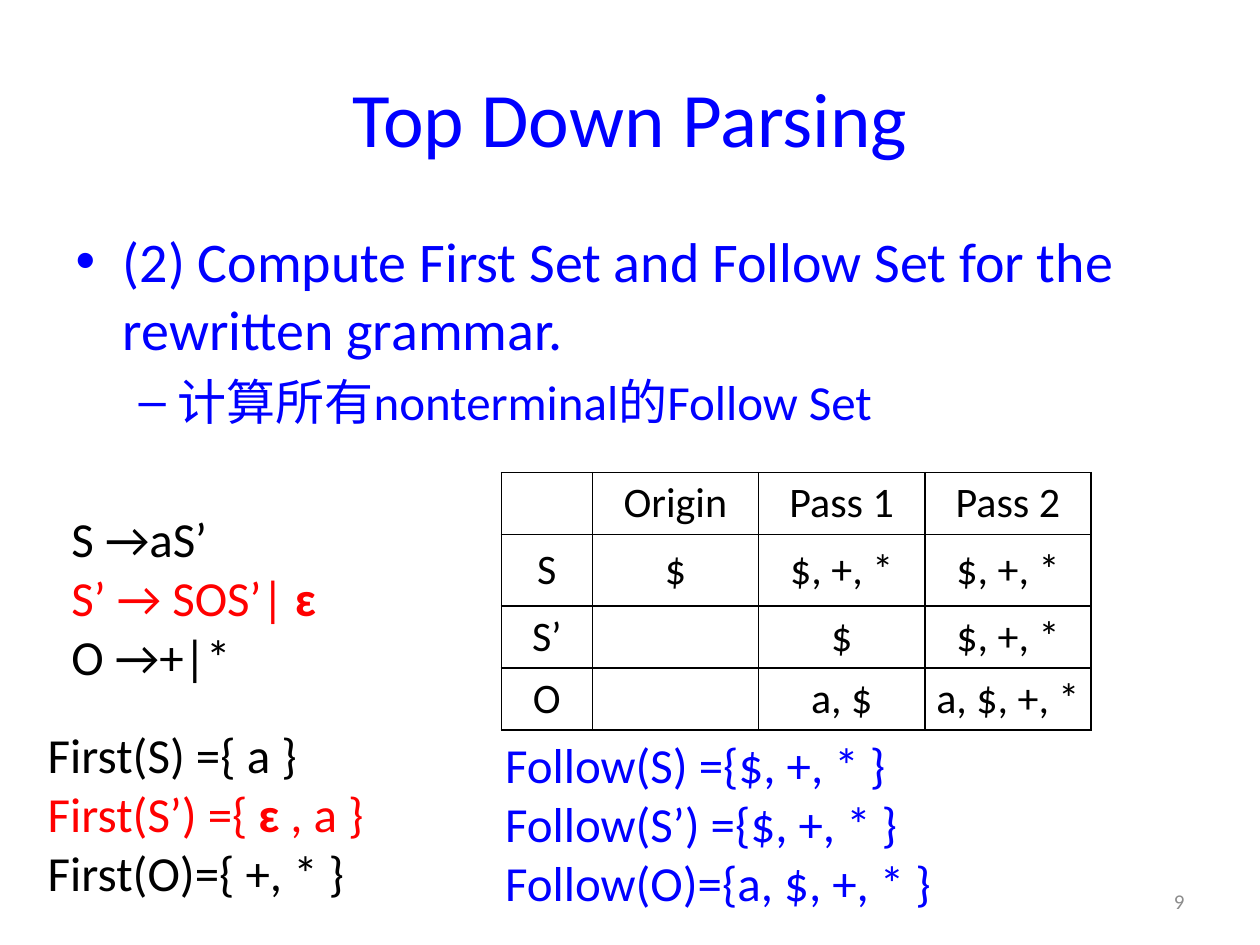
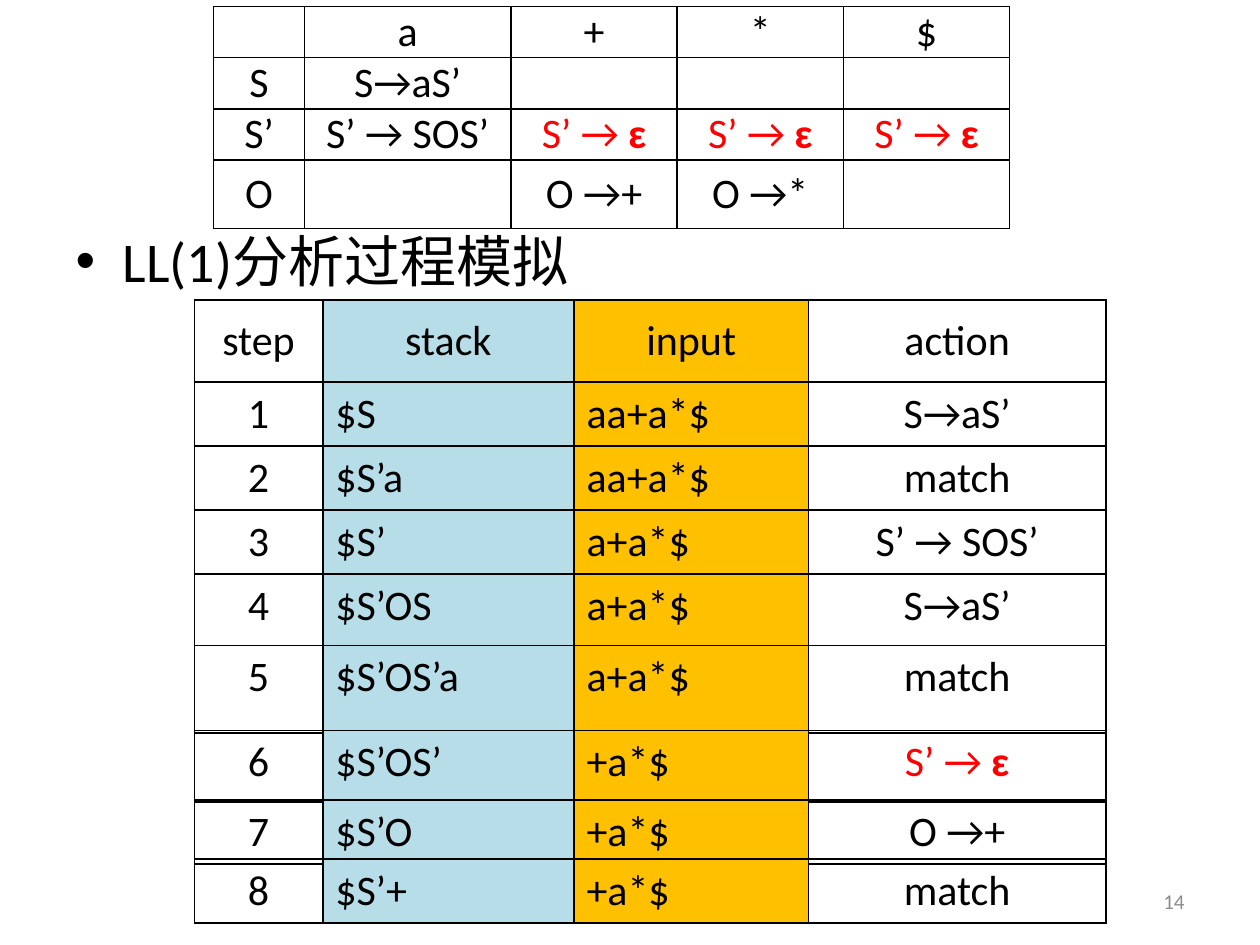
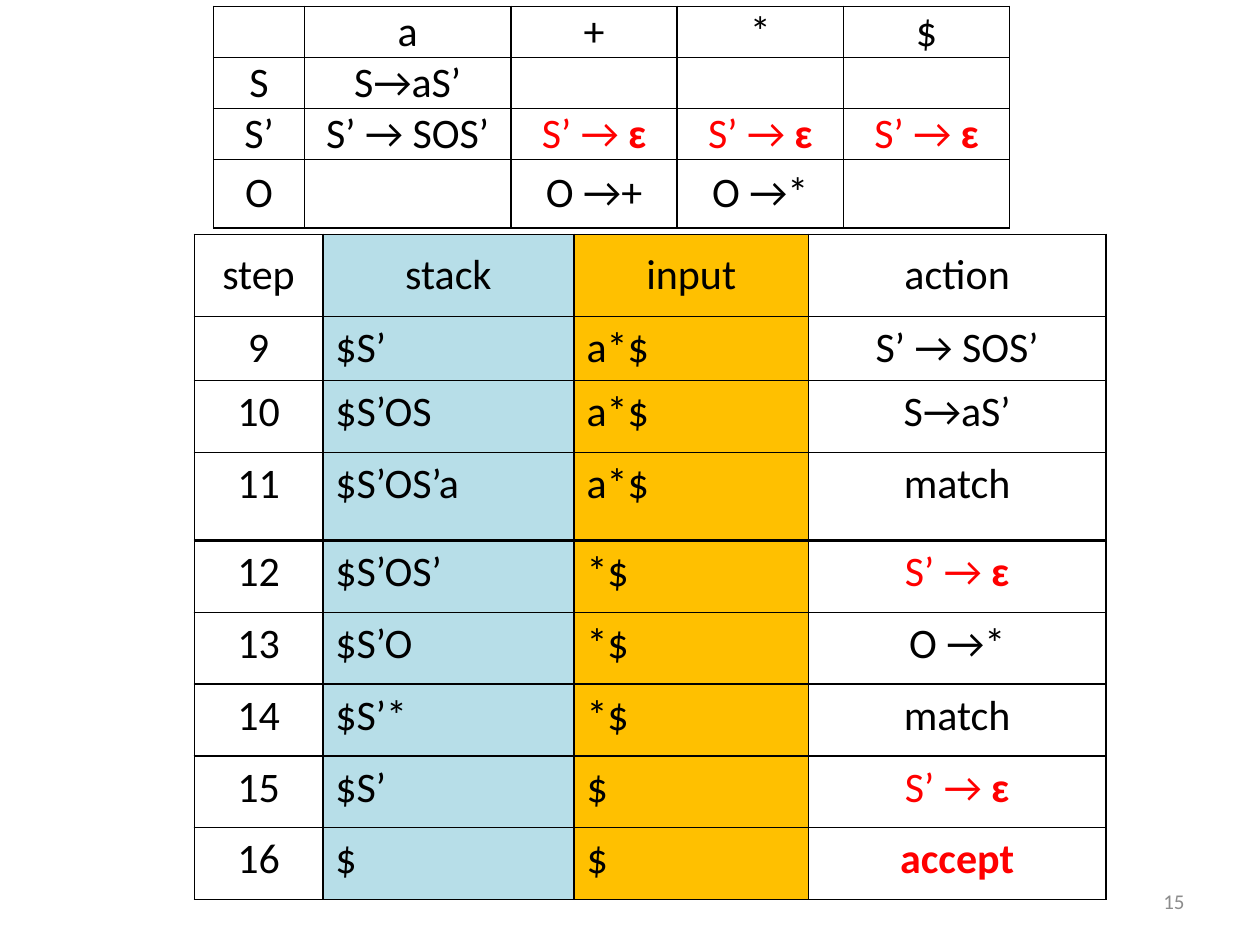
"""Build three slides on LL(1) parsing: the Follow sets and a step-by-step trace."""
from dataclasses import dataclass

import pptx
import pptx.dml.color
import pptx.enum.text
import pptx.oxml
import pptx.oxml.ns
import pptx.util

Pt = pptx.util.Pt
ALIGN = pptx.enum.text.PP_ALIGN
ANCHOR = pptx.enum.text.MSO_ANCHOR


@dataclass(frozen=True)
class Theme:
    """Colours, font and type sizes shared by the slides."""
    font: str = "Calibri"
    black: str = "000000"
    white: str = "FFFFFF"
    blue: str = "0000FF"
    red: str = "FF0000"
    grey: str = "8C8C8C"
    stack: str = "B7DEE8"
    input: str = "FFC000"
    title: int = 44
    body: int = 32
    sub: int = 28
    cell: int = 24
    number: int = 12


THEME = Theme()
EPSILON = "ɛ"

FOLLOW_TITLE = "Top Down Parsing"
FOLLOW_POINTS = [
    ("(2) Compute First Set and Follow Set for the rewritten grammar.", 0),
    ("计算所有nonterminal的Follow Set", 1),
]
RULES = ["S →aS’", "S’ → SOS’| ɛ", "O →+|*"]
FIRST_SETS = ["First(S) ={ a }", "First(S’) ={ ɛ , a }", "First(O)={ +, * }"]
FOLLOW_SETS = ["Follow(S) ={$, +, * }", "Follow(S’) ={$, +, * }", "Follow(O)={a, $, +, * }"]
FOLLOW_PASSES = [
    ("", "Origin", "Pass 1", "Pass 2"),
    ("S", "$", "$, +, *", "$, +, *"),
    ("S’", "", "$", "$, +, *"),
    ("O", "", "a, $", "a, $, +, *"),
]
PARSE_TABLE = [
    ("", "a", "+", "*", "$"),
    ("S", "S→aS’", "", "", ""),
    ("S’", "S’ → SOS’", "S’ → ɛ", "S’ → ɛ", "S’ → ɛ"),
    ("O", "", "O →+", "O →*", ""),
]
TRACE_POINTS = [("LL(1)分析过程模拟", 0)]
TRACE_HEADER = ("step", "stack", "input", "action")
TRACE_START = [
    ("1", "$S", "aa+a*$", "S→aS’"),
    ("2", "$S’a", "aa+a*$", "match"),
    ("3", "$S’", "a+a*$", "S’ → SOS’"),
    ("4", "$S’OS", "a+a*$", "S→aS’"),
    ("5", "$S’OS’a", "a+a*$", "match"),
    ("6", "$S’OS’", "+a*$", "S’ → ɛ"),
    ("7", "$S’O", "+a*$", "O →+"),
    ("8", "$S’+", "+a*$", "match"),
]
TRACE_END = [
    ("9", "$S’", "a*$", "S’ → SOS’"),
    ("10", "$S’OS", "a*$", "S→aS’"),
    ("11", "$S’OS’a", "a*$", "match"),
    ("12", "$S’OS’", "*$", "S’ → ɛ"),
    ("13", "$S’O", "*$", "O →*"),
    ("14", "$S’*", "*$", "match"),
    ("15", "$S’", "$", "S’ → ɛ"),
    ("16", "$", "$", "accept"),
]

PARSE_COLS, PARSE_ROWS = [52, 118, 95, 95, 95], [29.2, 29.2, 29.2, 39]
PASS_COLS, PASS_ROWS = [52, 95, 95, 95], [35.4, 41, 35.4, 35.4]
TRACE_COLS = [73.5, 143.5, 134, 170]
TRACE_FILLS = [None, THEME.stack, THEME.input, None]
TRACE_LEFT = 111
SHORT_ROW, TALL_ROW = 36.5, 41


def rgb(color):
    return pptx.dml.color.RGBColor.from_string(color)


def style(run, size, color, bold=False):
    run.font.name = THEME.font
    run.font.size = Pt(size)
    run.font.color.rgb = rgb(color)
    if bold:
        run.font.bold = True


def write(paragraph, text, size, color=THEME.black):
    """Write one line; lines with epsilon and the accept action are red."""
    if EPSILON in text:
        before, epsilon, after = text.partition(EPSILON)
        for part in filter(None, (before, epsilon, after)):
            run = paragraph.add_run()
            run.text = part
            style(run, size, THEME.red, part == EPSILON)
    else:
        accepted = text == "accept"
        paragraph.text = text
        for run in paragraph.runs:
            style(run, size, THEME.red if accepted else color, accepted)


def place(shape, left, top, width, height):
    shape.left, shape.top, shape.width, shape.height = map(Pt, (left, top, width, height))


def add_points(slide, points, color):
    body = slide.placeholders[1]
    place(body, 36, 126, 648, 356.4)
    for index, (text, level) in enumerate(points):
        frame = body.text_frame
        point = frame.paragraphs[0] if index == 0 else frame.add_paragraph()
        point.level = level
        write(point, text, THEME.sub if level else THEME.body, color)


def add_lines(slide, lines, box, color=THEME.black, wrap=False):
    frame = slide.shapes.add_textbox(*map(Pt, box)).text_frame
    frame.word_wrap = wrap
    frame.auto_size = pptx.enum.text.MSO_AUTO_SIZE.SHAPE_TO_FIT_TEXT
    for index, line in enumerate(lines):
        paragraph = frame.paragraphs[0] if index == 0 else frame.add_paragraph()
        write(paragraph, line, THEME.sub, color)


def add_number(slide, number):
    frame = slide.shapes.add_textbox(Pt(516), Pt(500.5), Pt(168), Pt(28.8)).text_frame
    frame.word_wrap = True
    frame.vertical_anchor = ANCHOR.MIDDLE
    write(frame.paragraphs[0], number, THEME.number, THEME.grey)
    frame.paragraphs[0].alignment = ALIGN.RIGHT


def add_borders(cell):
    properties = cell._tc.get_or_add_tcPr()
    for side in ("lnL", "lnR", "lnT", "lnB"):
        properties.append(pptx.oxml.parse_xml(
            f'<a:{side} {pptx.oxml.ns.nsdecls("a")} w="12700"><a:solidFill>'
            f'<a:srgbClr val="{THEME.black}"/></a:solidFill></a:{side}>'))


def add_grid(slide, rows, left, top, widths, heights, fills):
    """Add a bordered table of centred text and return it."""
    frame = slide.shapes.add_table(len(rows), len(widths), Pt(left), Pt(top),
                                   Pt(sum(widths)), Pt(sum(heights)))
    table = frame.table
    table.first_row = table.horz_banding = False
    for column, width in zip(table.columns, widths):
        column.width = Pt(width)
    for row, height, texts in zip(table.rows, heights, rows):
        row.height = Pt(height)
        for cell, text, fill in zip(row.cells, texts, fills):
            add_borders(cell)
            if fill:
                cell.fill.solid()
                cell.fill.fore_color.rgb = rgb(fill)
            else:
                cell.fill.background()
            write(cell.text_frame.paragraphs[0], text, THEME.cell)
            cell.text_frame.paragraphs[0].alignment = ALIGN.CENTER
    return table


def add_set_table(slide, rows, left, top, widths, heights, fill=None):
    table = add_grid(slide, rows, left, top, widths, heights, [fill] * len(widths))
    for cell in table.iter_cells():
        cell.margin_left = cell.margin_right = Pt(5)
        cell.margin_top = cell.margin_bottom = 0
        cell.vertical_anchor = ANCHOR.MIDDLE


def add_trace_part(slide, rows, top, heights):
    table = add_grid(slide, rows, TRACE_LEFT, top, TRACE_COLS, heights, TRACE_FILLS)
    for row, texts in zip(table.rows, rows):
        for index, cell in enumerate(row.cells):
            if texts == TRACE_HEADER:
                cell.vertical_anchor = ANCHOR.MIDDLE
            elif TRACE_FILLS[index]:
                cell.text_frame.paragraphs[0].alignment = ALIGN.LEFT


def add_trace(slide, steps, top, heights, tail):
    """Add the opening table, then one single-row table per (top, height) in tail."""
    split = len(heights) - 1
    add_trace_part(slide, [TRACE_HEADER] + steps[:split], top, heights)
    for step, (tail_top, height) in zip(steps[split:], tail):
        add_trace_part(slide, [step], tail_top, [height])


def build_follow(deck):
    slide = deck.slides.add_slide(deck.slide_layouts[1])
    title = slide.shapes.title
    place(title, 36, 21.6, 648, 90)
    write(title.text_frame.paragraphs[0], FOLLOW_TITLE, THEME.title, THEME.blue)
    add_points(slide, FOLLOW_POINTS, THEME.blue)
    add_lines(slide, RULES, (33.8, 287.3, 158.4, 108.7))
    add_lines(slide, FIRST_SETS, (20.2, 410.4, 197.3, 108.7))
    add_set_table(slide, FOLLOW_PASSES, 286.5, 270, PASS_COLS, PASS_ROWS, THEME.white)
    add_number(slide, "9")
    add_lines(slide, FOLLOW_SETS, (281.5, 416.2, 327.6, 108.7), THEME.blue, True)


def build_trace_start(deck):
    slide = deck.slides.add_slide(deck.slide_layouts[1])
    title = slide.shapes.title.element
    title.getparent().remove(title)
    add_points(slide, TRACE_POINTS, THEME.black)
    add_trace(slide, TRACE_START, 171.4, [47] + [SHORT_ROW] * 3 + [TALL_ROW, 50],
              [(417.4, TALL_ROW), (457.2, SHORT_ROW), (491, SHORT_ROW)])
    add_set_table(slide, PARSE_TABLE, 122, 3.6, PARSE_COLS, PARSE_ROWS)
    add_number(slide, "14")


def build_trace_end(deck):
    slide = deck.slides.add_slide(deck.slide_layouts[6])
    add_trace(slide, TRACE_END, 134, [47, SHORT_ROW, TALL_ROW, 50],
              [(309 + TALL_ROW * index, TALL_ROW) for index in range(5)])
    add_set_table(slide, PARSE_TABLE, 122, 3.6, PARSE_COLS, PARSE_ROWS)
    add_number(slide, "15")


def main():
    deck = pptx.Presentation()
    deck.slide_width, deck.slide_height = Pt(720), Pt(540)
    build_follow(deck)
    build_trace_start(deck)
    build_trace_end(deck)
    deck.save("out.pptx")


if __name__ == "__main__":
    main()
